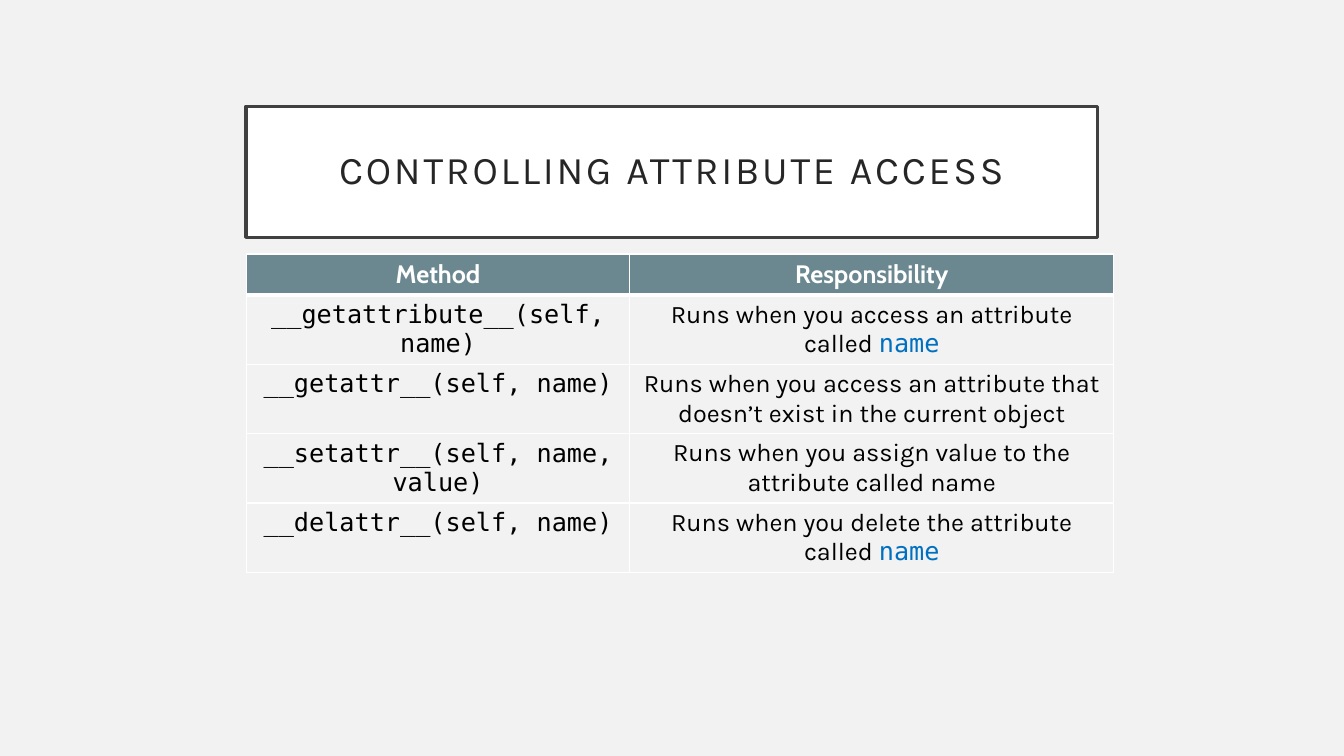
from pptx import Presentation
from pptx.dml.color import RGBColor
from pptx.enum.text import MSO_ANCHOR as Anchor, MSO_AUTO_SIZE as AutoSize, PP_ALIGN as Align
from pptx.oxml.ns import qn
from pptx.util import Pt
from lxml.etree import SubElement

COLOURS = {
    "page": "F2F2F2",
    "white": "FFFFFF",
    "frame": "404040",
    "title": "262626",
    "header": "6B8891",
    "text": "000000",
    "name": "0070C0",
}
SANS, MONO, HEADING = "Karla", "DejaVu Sans Mono", "Cabin"


def add_span(para, text, font, colour, size=18, bold=False):
    span = para.add_run()
    span.text = text
    span.font.name = font
    span.font.size = Pt(size)
    span.font.bold = bold
    span.font.color.rgb = RGBColor.from_string(COLOURS[colour])
    return span


def add_borders(cell, bottom, top):
    """Draw white lines round a cell; bottom and top are widths in points."""
    properties = cell._tc.get_or_add_tcPr()
    for side, width in (("L", 1), ("R", 1), ("T", top), ("B", bottom)):
        line = SubElement(properties, qn(f"a:ln{side}"), w=str(Pt(width)))
        fill = SubElement(line, qn("a:solidFill"))
        SubElement(fill, qn("a:srgbClr"), val=COLOURS["white"])


deck = Presentation()
deck.slide_width, deck.slide_height = Pt(960), Pt(540)
page = deck.slides.add_slide(deck.slide_layouts[5])
page.background.fill.solid()
page.background.fill.fore_color.rgb = RGBColor.from_string(COLOURS["page"])

# Title in its frame
title = page.shapes.title
title.left, title.top, title.width, title.height = Pt(175.7), Pt(75.9), Pt(608.4), Pt(93.6)
title.fill.solid()
title.fill.fore_color.rgb = RGBColor.from_string(COLOURS["white"])
title.line.color.rgb = RGBColor.from_string(COLOURS["frame"])
title.line.width = Pt(2.5)
box = title.text_frame
box.word_wrap = True
box.auto_size = AutoSize.NONE
box.vertical_anchor = Anchor.MIDDLE
box.margin_left = box.margin_right = box.margin_top = box.margin_bottom = Pt(14.4)
para = box.paragraphs[0]
para.alignment = Align.CENTER
para.line_spacing = 0.9
span = add_span(para, "CONTROLLING ATTRIBUTE ACCESS", SANS, "title", size=28)
span.font._element.set("spc", "200")

# Each row: method, responsibility, and the argument name that may end it
rows = [
    ("Method", "Responsibility", ""),
    ("__getattribute__(self, name)", "Runs when you access an attribute called ", "name"),
    ("__getattr__(self, name)",
     "Runs when you access an attribute that doesn’t exist in the current object", ""),
    ("__setattr__(self, name, value)",
     "Runs when you assign value to the attribute called name", ""),
    ("__delattr__(self, name)", "Runs when you delete the attribute called ", "name"),
]
HEADER_HEIGHT, ROW_HEIGHT = 29.2, 49.6
COLUMN_WIDTHS = (274, 345.6)
table = page.shapes.add_table(
    len(rows), len(COLUMN_WIDTHS), Pt(175.9), Pt(181.4), Pt(sum(COLUMN_WIDTHS)),
    Pt(HEADER_HEIGHT + ROW_HEIGHT * (len(rows) - 1))).table
table.horz_banding = False
for column, width in zip(table.columns, COLUMN_WIDTHS):
    column.width = Pt(width)

for index, (method, responsibility, argument) in enumerate(rows):
    is_header = index == 0
    table.rows[index].height = Pt(HEADER_HEIGHT if is_header else ROW_HEIGHT)
    for column, (text, font) in enumerate(((method, MONO), (responsibility, SANS))):
        cell = table.cell(index, column)
        add_borders(cell, bottom=3 if is_header else 1, top=3 if index == 1 else 1)
        cell.fill.solid()
        cell.fill.fore_color.rgb = RGBColor.from_string(
            COLOURS["header" if is_header else "page"])
        para = cell.text_frame.paragraphs[0]
        para.alignment = Align.CENTER
        if is_header:
            add_span(para, text, HEADING, "white", bold=True)
        else:
            add_span(para, text, font, "text")
    if argument:
        add_span(para, argument, MONO, "name")

deck.save("out.pptx")
